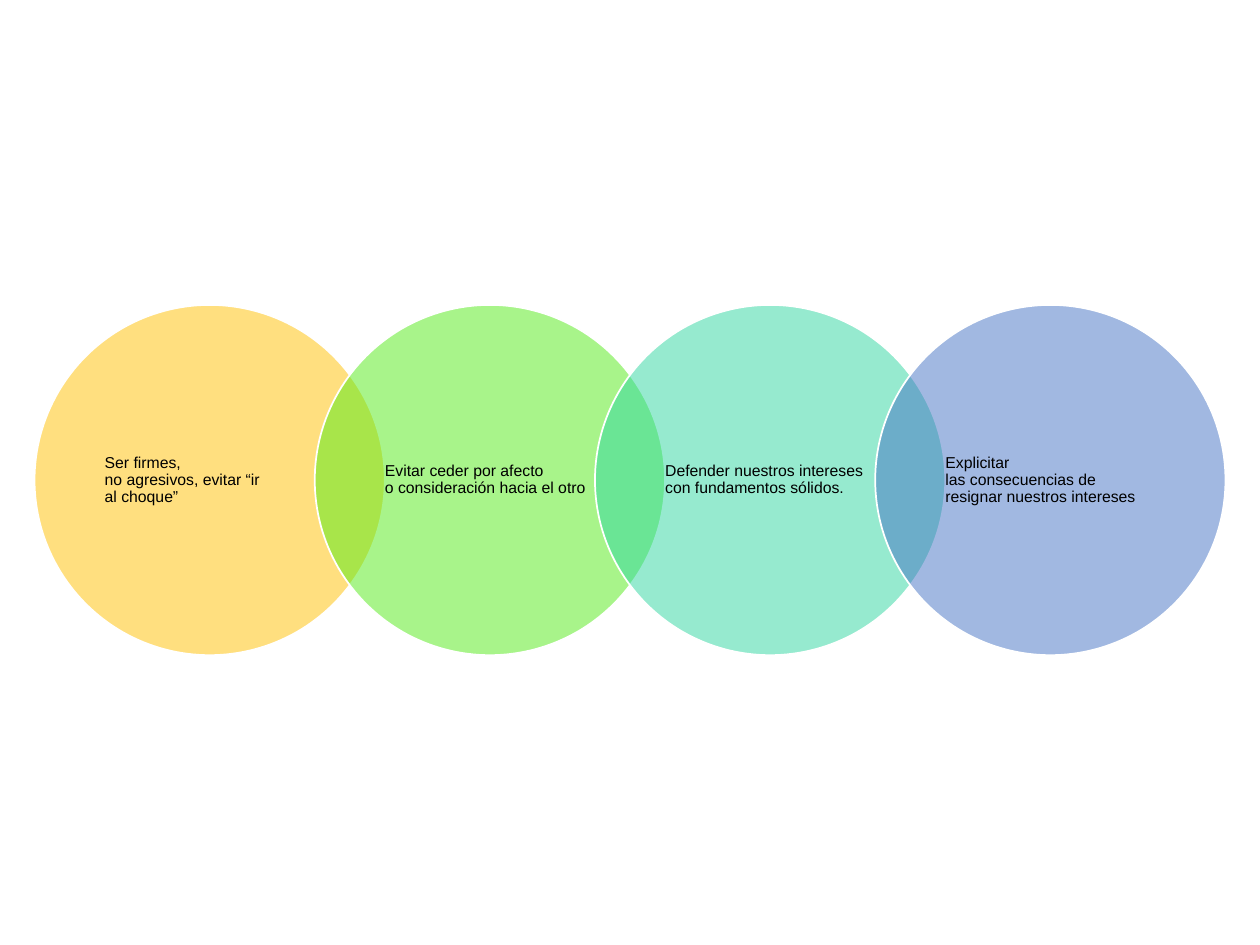
from dataclasses import dataclass

from lxml import etree
from pptx import Presentation
from pptx.dml.color import RGBColor
from pptx.enum.shapes import MSO_SHAPE
from pptx.enum.text import MSO_ANCHOR, PP_ALIGN
from pptx.oxml.ns import qn
from pptx.shapes.group import GroupShape
from pptx.util import Inches, Pt

ELLIPSE = MSO_SHAPE.OVAL
MIDDLE = MSO_ANCHOR.MIDDLE
LEFT = PP_ALIGN.LEFT

COLORS = {
    "amber": "FFC000",
    "green": "53EB17",
    "teal": "2ED7A1",
    "blue": "4472C4",
    "outline": "FFFFFF",
    "text": "000000",
}
FONT = "Arial"
BLANK_LAYOUT = 6
NO_BREAK_SPACE = chr(160)

SLIDE_WIDTH, SLIDE_HEIGHT = Inches(10), Inches(7.5)
DIAMETER = Inches(2.78)
PITCH = 0.8 * DIAMETER  # neighbours overlap by a fifth
CHAIN_TOP = Inches(2.42)
LABEL_SIZE = DIAMETER / 2 ** 0.5  # square inscribed in the circle
LABEL_OFFSET = (DIAMETER - LABEL_SIZE) / 2


@dataclass(frozen=True)
class Advice:
    """One circle; a tilde in the wording stands for a no-break space."""
    wording: str
    color: str


ADVICE = [
    Advice("Ser firmes, no~agresivos,~evitar “ir al~choque”", "amber"),
    Advice("Evitar ceder~por afecto o~consideración~hacia el otro", "green"),
    Advice("Defender~nuestros~intereses con~fundamentos~sólidos.", "teal"),
    Advice("Explicitar las~consecuencias~de resignar~nuestros~intereses", "blue"),
]


def rgb(name: str) -> RGBColor:
    return RGBColor.from_string(COLORS[name])


def add_circle(chain: GroupShape, left: float, color: str) -> None:
    circle = chain.shapes.add_shape(ELLIPSE, int(left), CHAIN_TOP, DIAMETER, DIAMETER)
    circle.shadow.inherit = False
    circle.fill.solid()
    circle.fill.fore_color.rgb = rgb(color)
    fill_color = circle.fill._xPr.find(qn("a:solidFill")).find(qn("a:srgbClr"))
    etree.SubElement(fill_color, qn("a:alpha"), val="50000")
    circle.line.color.rgb = rgb("outline")
    circle.line.width = Pt(1)


def add_label(chain: GroupShape, left: float, wording: str) -> None:
    label = chain.shapes.add_textbox(
        int(left + LABEL_OFFSET), int(CHAIN_TOP + LABEL_OFFSET),
        int(LABEL_SIZE), int(LABEL_SIZE))
    frame = label.text_frame
    frame.word_wrap = True
    frame.vertical_anchor = MIDDLE
    frame.margin_left = frame.margin_right = Inches(0.15)
    frame.margin_top = frame.margin_bottom = Inches(0.01)
    frame.text = wording.replace("~", NO_BREAK_SPACE)
    paragraph = frame.paragraphs[0]
    paragraph.alignment = LEFT
    paragraph.line_spacing = 0.9
    font = paragraph.runs[0].font
    font.name = FONT
    font.size = Pt(9)
    font.color.rgb = rgb("text")


def main() -> None:
    presentation = Presentation()
    presentation.slide_width = SLIDE_WIDTH
    presentation.slide_height = SLIDE_HEIGHT
    slide = presentation.slides.add_slide(presentation.slide_layouts[BLANK_LAYOUT])

    chain = slide.shapes.add_group_shape()
    chain_width = DIAMETER + PITCH * (len(ADVICE) - 1)
    chain_left = (SLIDE_WIDTH - chain_width) / 2
    for position, advice in enumerate(ADVICE):
        left = chain_left + position * PITCH
        add_circle(chain, left, advice.color)
        add_label(chain, left, advice.wording)

    presentation.save("out.pptx")


if __name__ == "__main__":
    main()
